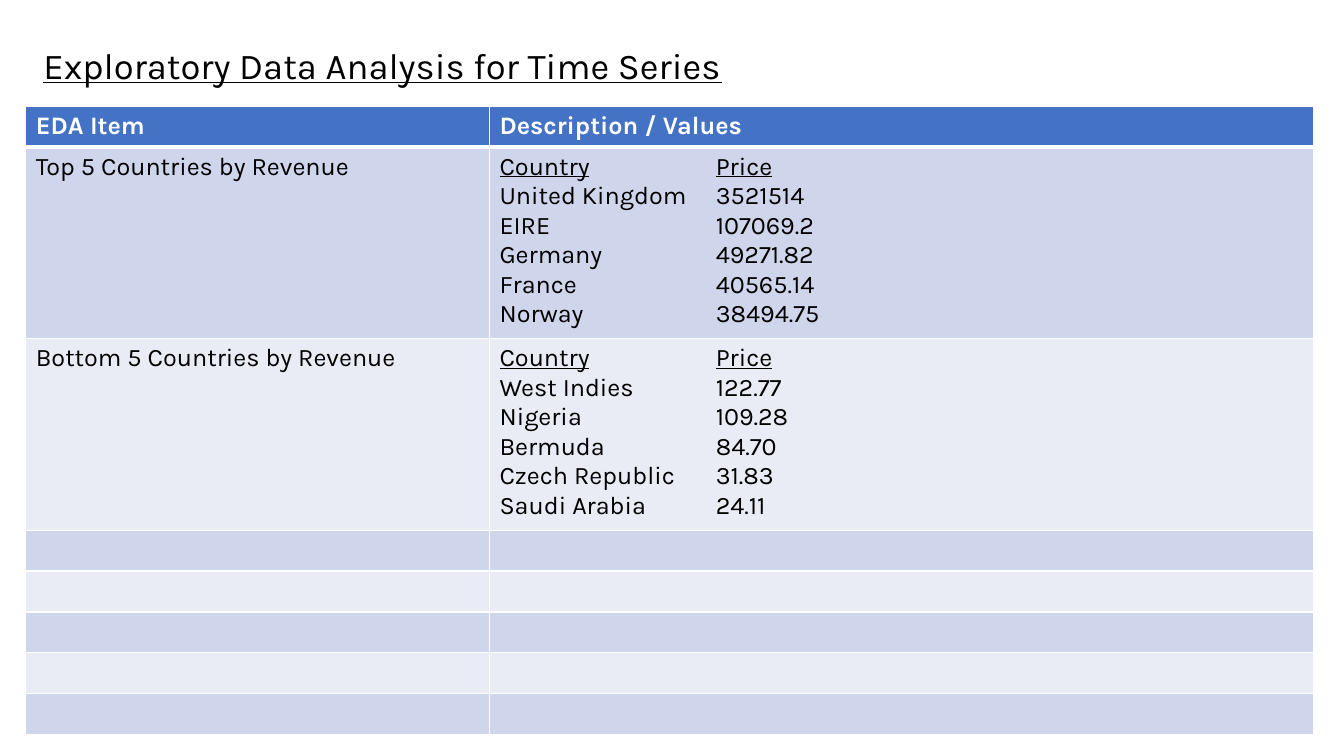
import pptx
import pptx.dml.color
import pptx.enum.text
import pptx.oxml
import pptx.oxml.ns
import pptx.util
from pptx.util import Cm

FONT = "Karla"
BLACK, WHITE, HEADER_BLUE = "000000", "FFFFFF", "4472C4"
BANDS = ["CFD5EA", "E9EBF5"]

TITLE = "Exploratory Data Analysis for Time Series"
HEADINGS = ["EDA Item", "Description / Values"]
REVENUE_ITEMS = [
    ("Top 5 Countries by Revenue", [
        ("United Kingdom", "3521514"),
        ("EIRE", "107069.2"),
        ("Germany", "49271.82"),
        ("France", "40565.14"),
        ("Norway", "38494.75"),
    ]),
    ("Bottom 5 Countries by Revenue", [
        ("West Indies", "122.77"),
        ("Nigeria", "109.28"),
        ("Bermuda", "84.70"),
        ("Czech Republic", "31.83"),
        ("Saudi Arabia", "24.11"),
    ]),
]
EMPTY_ROWS = 5
COLUMN_SHARES = [0.36, 0.64]
SMALL_ROW, ITEM_ROW = Cm(1.03), Cm(4.83)
PRICE_TAB = Cm(5.45)


def color(hex_string):
    return pptx.dml.color.RGBColor.from_string(hex_string)


def format_font(font, size, hex_string, bold=False):
    font.name = FONT
    font.size = pptx.util.Pt(size)
    font.bold = bold
    font.color.rgb = color(hex_string)


def set_borders(cell, top, bottom):
    """Draw white lines round a cell; top and bottom widths are in points."""
    properties = cell._tc.get_or_add_tcPr()
    for side, width in (("L", 1), ("R", 1), ("T", top), ("B", bottom)):
        properties.append(pptx.oxml.parse_xml(
            f'<a:ln{side} {pptx.oxml.ns.nsdecls("a")} w="{pptx.util.Pt(width)}">'
            f'<a:solidFill><a:srgbClr val="{WHITE}"/></a:solidFill></a:ln{side}>'))


def add_price_tab(paragraph):
    properties = paragraph._p.get_or_add_pPr()
    properties.insert(0, pptx.oxml.parse_xml(
        f'<a:tabLst {pptx.oxml.ns.nsdecls("a")}>'
        f'<a:tab pos="{PRICE_TAB}" algn="l"/></a:tabLst>'))


def write_prices(cell, prices):
    """List countries and prices, with underlined headings, on one tab stop."""
    frame = cell.text_frame
    for index, (country, price) in enumerate([("Country", "Price")] + prices):
        paragraph = frame.add_paragraph() if index else frame.paragraphs[0]
        add_price_tab(paragraph)
        for text in (country, "\t", price):
            run = paragraph.add_run()
            run.text = text
            run.font.underline = index == 0 and text != "\t"


def add_title(slide, left, top, width, height):
    title = slide.shapes.title
    title.left, title.top, title.width, title.height = left, top, width, height
    frame = title.text_frame
    frame.text = TITLE
    frame.word_wrap = True
    frame.auto_size = pptx.enum.text.MSO_AUTO_SIZE.SHAPE_TO_FIT_TEXT
    frame.vertical_anchor = pptx.enum.text.MSO_ANCHOR.TOP
    paragraph = frame.paragraphs[0]
    paragraph.alignment = pptx.enum.text.PP_ALIGN.LEFT
    format_font(paragraph.font, 26, BLACK)
    paragraph.font.underline = True


def add_analysis_table(slide, left, top, width):
    item_count = len(REVENUE_ITEMS)
    heights = [SMALL_ROW] + [ITEM_ROW] * item_count + [SMALL_ROW] * EMPTY_ROWS
    table = slide.shapes.add_table(
        len(heights), len(HEADINGS), left, top, width, sum(heights)).table
    table.horz_banding = False
    for column, share in zip(table.columns, COLUMN_SHARES):
        column.width = int(width * share)
    for row, height in zip(table.rows, heights):
        row.height = height

    # Wording
    for index, heading in enumerate(HEADINGS):
        table.cell(0, index).text = heading
    for index, (item, prices) in enumerate(REVENUE_ITEMS, start=1):
        table.cell(index, 0).text = item
        write_prices(table.cell(index, 1), prices)

    # Fills, borders and fonts
    for index, row in enumerate(table.rows):
        is_header = index == 0
        for cell in row.cells:
            set_borders(cell, top=3 if index == 1 else 1, bottom=3 if is_header else 1)
            cell.fill.solid()
            cell.fill.fore_color.rgb = color(HEADER_BLUE if is_header else BANDS[(index - 1) % 2])
            for paragraph in cell.text_frame.paragraphs:
                format_font(paragraph.font, 18, WHITE if is_header else BLACK, is_header)


def main():
    presentation = pptx.Presentation()
    presentation.slide_width, presentation.slide_height = Cm(33.87), Cm(19.05)
    title_only = presentation.slide_layouts.get_by_name("Title Only")
    slide = presentation.slides.add_slide(title_only)
    add_title(slide, Cm(0.84), Cm(0.97), Cm(32.46), Cm(1.37))
    add_analysis_table(slide, Cm(0.65), Cm(2.67), Cm(32.46))
    presentation.save("out.pptx")


if __name__ == "__main__":
    main()
